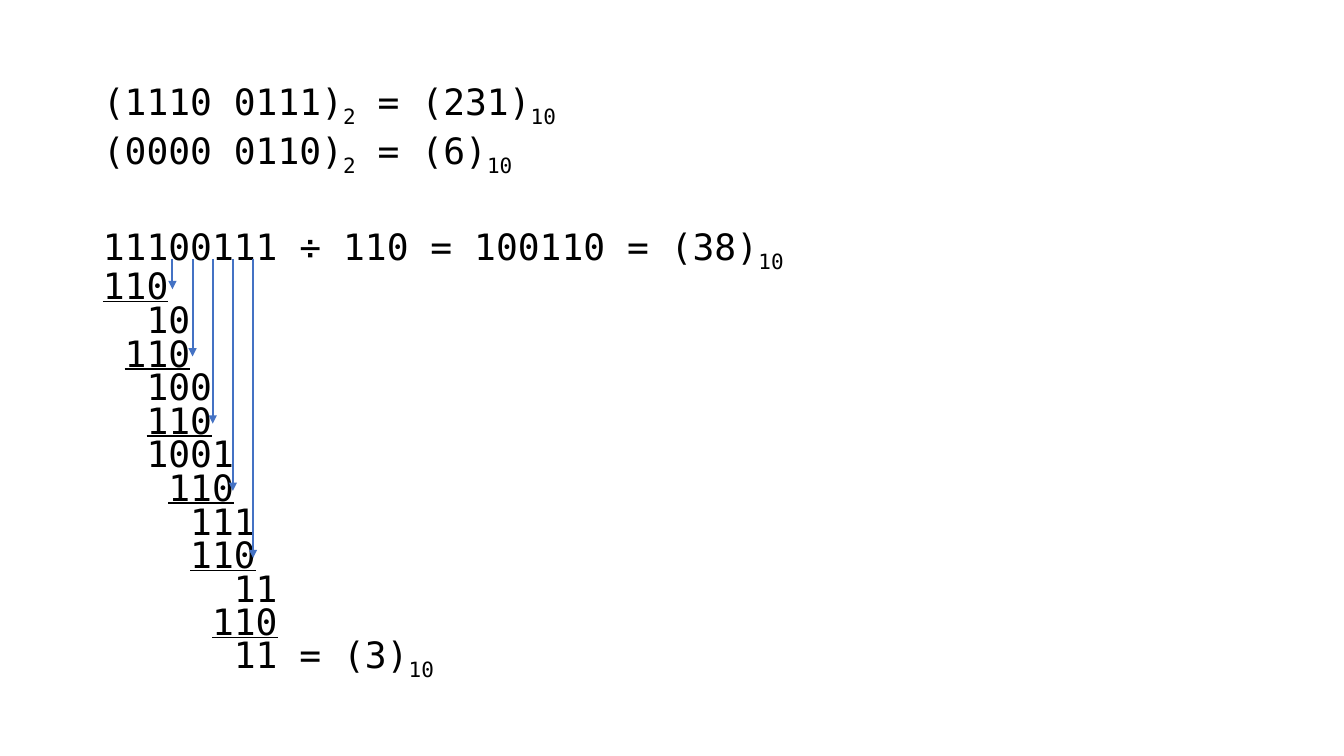
from pptx import Presentation, util as u
from pptx.dml.color import RGBColor
from pptx.enum import shapes, text
from pptx.oxml import parse_xml
from pptx.oxml.ns import nsdecls, qn

BLACK = RGBColor(0x00, 0x00, 0x00)
BLUE = RGBColor(0x44, 0x72, 0xC4)
FONT = "DejaVu Sans Mono"
SIZE = 25.9
CHAR = SIZE * 0.602  # width of one digit column, points
ROW = 24             # height of one row, points

# Pieces alternate between normal text and subscript; then space before.
EQUATIONS = [
    (("(1110 0111)", "2", " = (231)", "10"), 0),
    (("(0000 0110)", "2", " = (6)", "10"), 11),
    (("11100111 ÷ 110 = 100110 = (38)", "10"), 44.6),
]
# Digit column and text; every first row of a pair is a subtracted divisor.
STEPS = [
    (0, "110"), (2, "10"),
    (1, "110"), (2, "100"),
    (2, "110"), (2, "1001"),
    (3, "110"), (4, "111"),
    (4, "110"), (6, "11"),
    (5, "110"),
]
REMAINDER = (6, ("11 = (3)", "10"), 3.2)
ARROW_COUNT = 5
ARROW_LEFT, ARROW_TOP, ARROW_END = 1.71, 2.57, 2.87
ARROW_GAP = 0.2


def add_line(tf, pieces, column=0, before=0, underline=False):
    """Add a paragraph of alternating normal and subscript pieces."""
    p = tf.paragraphs[0] if not tf.text else tf.add_paragraph()
    p.line_spacing = u.Pt(ROW)
    p.space_before = u.Pt(before)
    p.space_after = u.Pt(0)
    p.alignment = text.PP_ALIGN.LEFT
    pPr = p._p.get_or_add_pPr()
    pPr.set("marL", str(u.Pt(column * CHAR)))
    pPr.set("indent", "0")
    pPr.append(parse_xml(f"<a:buNone {nsdecls('a')}/>"))
    for i, piece in enumerate(pieces):
        r = p.add_run()
        r.text = piece
        r.font.name = FONT
        r.font.size = u.Pt(SIZE)
        r.font.color.rgb = BLACK
        r.font.underline = underline
        if i % 2:
            r.font._element.set("baseline", "-25000")


def add_arrow(s, x, top, bottom):
    """Draw a downward arrow that brings down one digit."""
    c = s.shapes.add_connector(
        shapes.MSO_CONNECTOR.STRAIGHT,
        *(u.Inches(v) for v in (x, top, x, bottom)))
    c.line.color.rgb = BLUE
    c.line.width = u.Pt(1.5)
    c.line._get_or_add_ln().append(
        parse_xml(f'<a:tailEnd {nsdecls("a")} type="triangle"/>'))
    c._element.find(qn("p:spPr")).append(
        parse_xml(f"<a:effectLst {nsdecls('a')}/>"))


prs = Presentation()
prs.slide_width, prs.slide_height = u.Inches(13.33), u.Inches(7.5)
s = prs.slides.add_slide(prs.slide_layouts[1])
title = s.shapes.title._element
title.getparent().remove(title)

sp = s.placeholders[1]
sp.left, sp.top = u.Inches(0.92), u.Inches(0.87)
sp.width, sp.height = u.Inches(11.5), u.Inches(5.89)
tf = sp.text_frame
tf.word_wrap = True
tf.auto_size = text.MSO_AUTO_SIZE.NONE
tf.vertical_anchor = text.MSO_ANCHOR.TOP
tf.margin_left, tf.margin_top = u.Inches(0.1), u.Inches(0.07)

for pieces, before in EQUATIONS:
    add_line(tf, pieces, before=before)
for i, (column, digits) in enumerate(STEPS):
    add_line(tf, [digits], column=column, underline=i % 2 == 0)
column, pieces, before = REMAINDER
add_line(tf, pieces, column=column, before=before)

for i in range(ARROW_COUNT):
    add_arrow(s, ARROW_LEFT + i * ARROW_GAP, ARROW_TOP,
              ARROW_END + i * 2 * ROW / 72)

prs.save("out.pptx")
